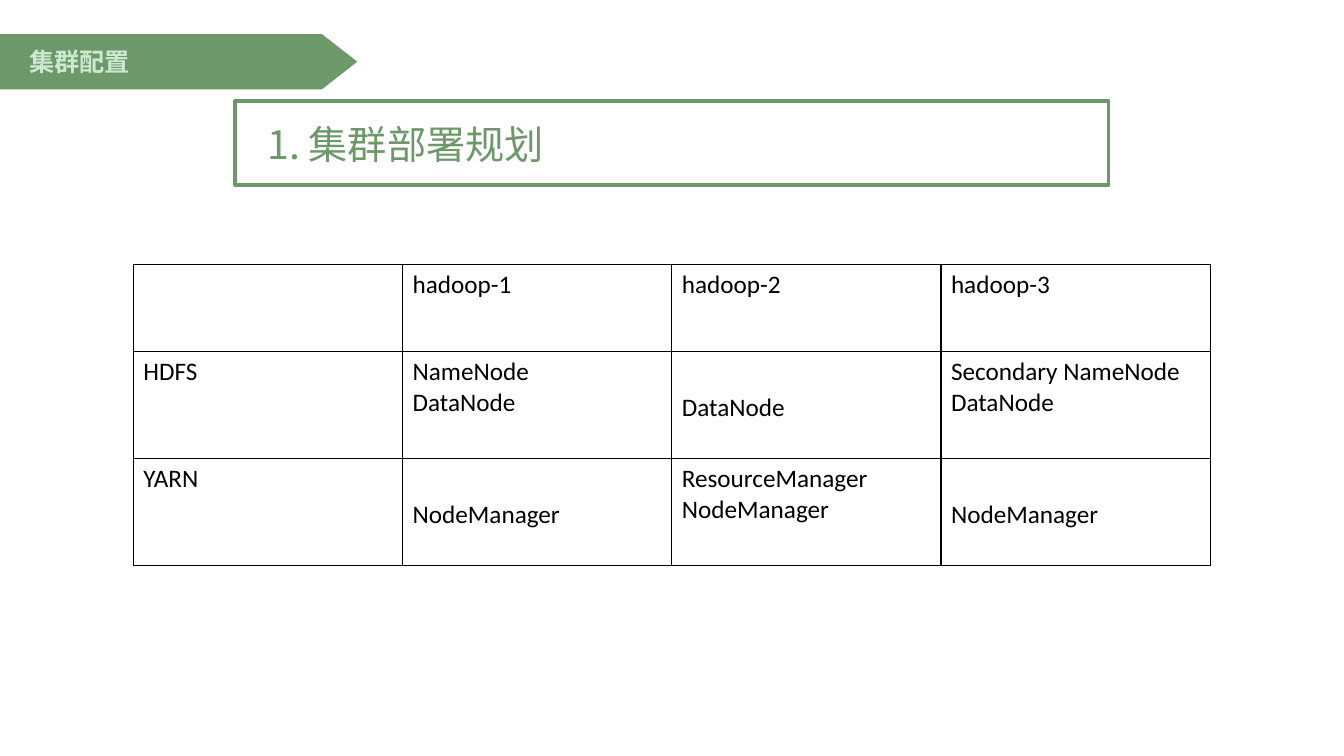
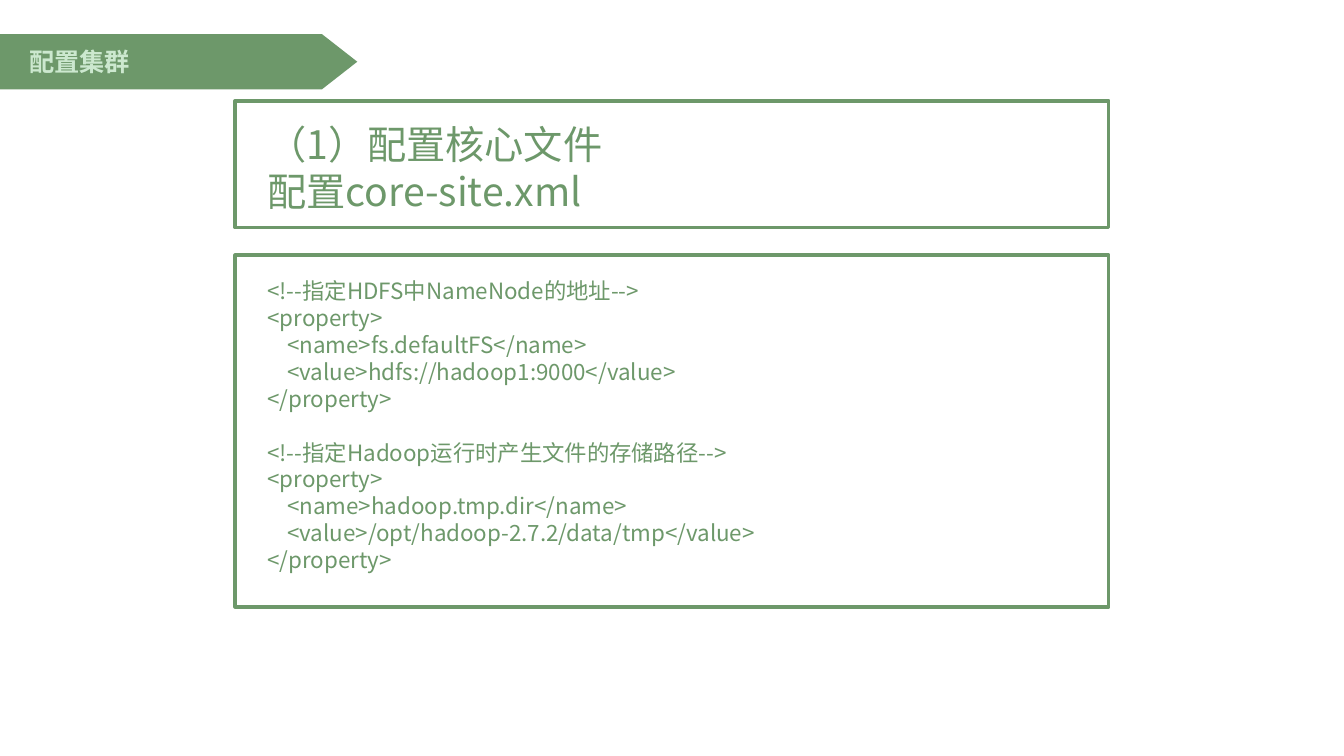
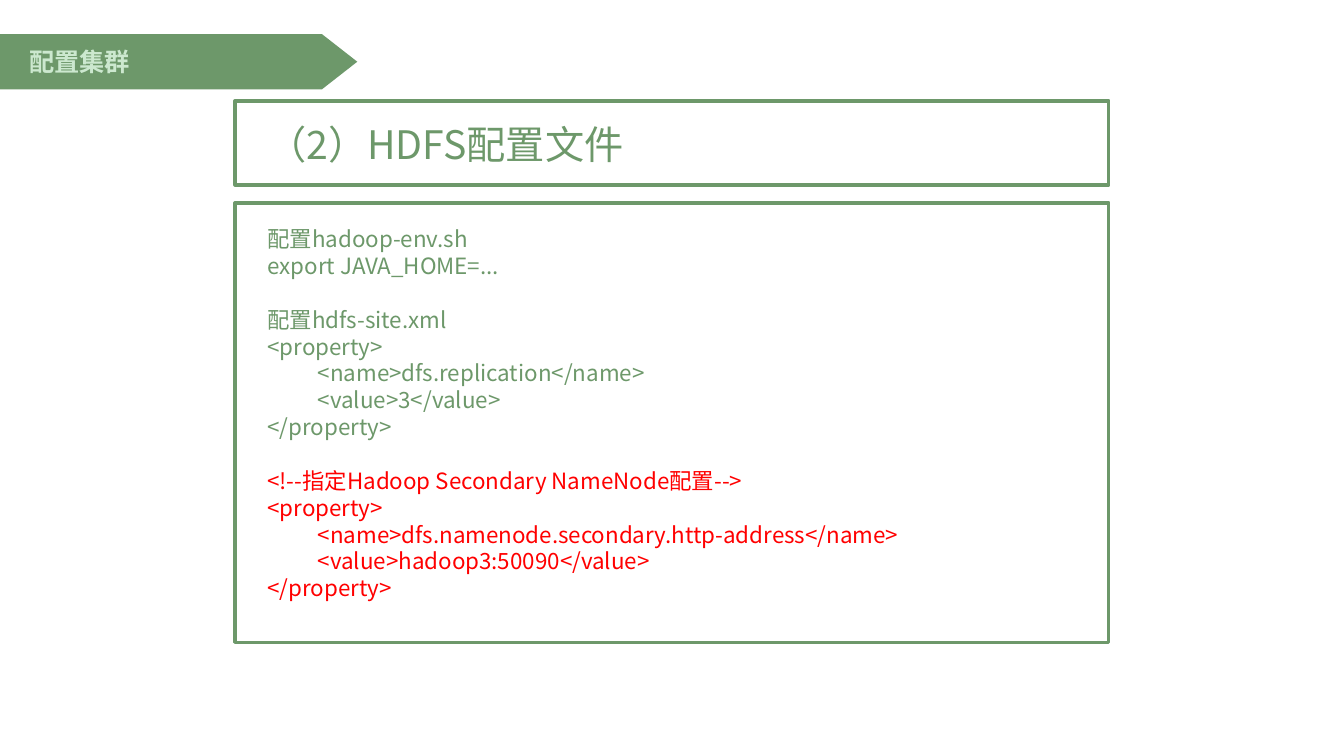
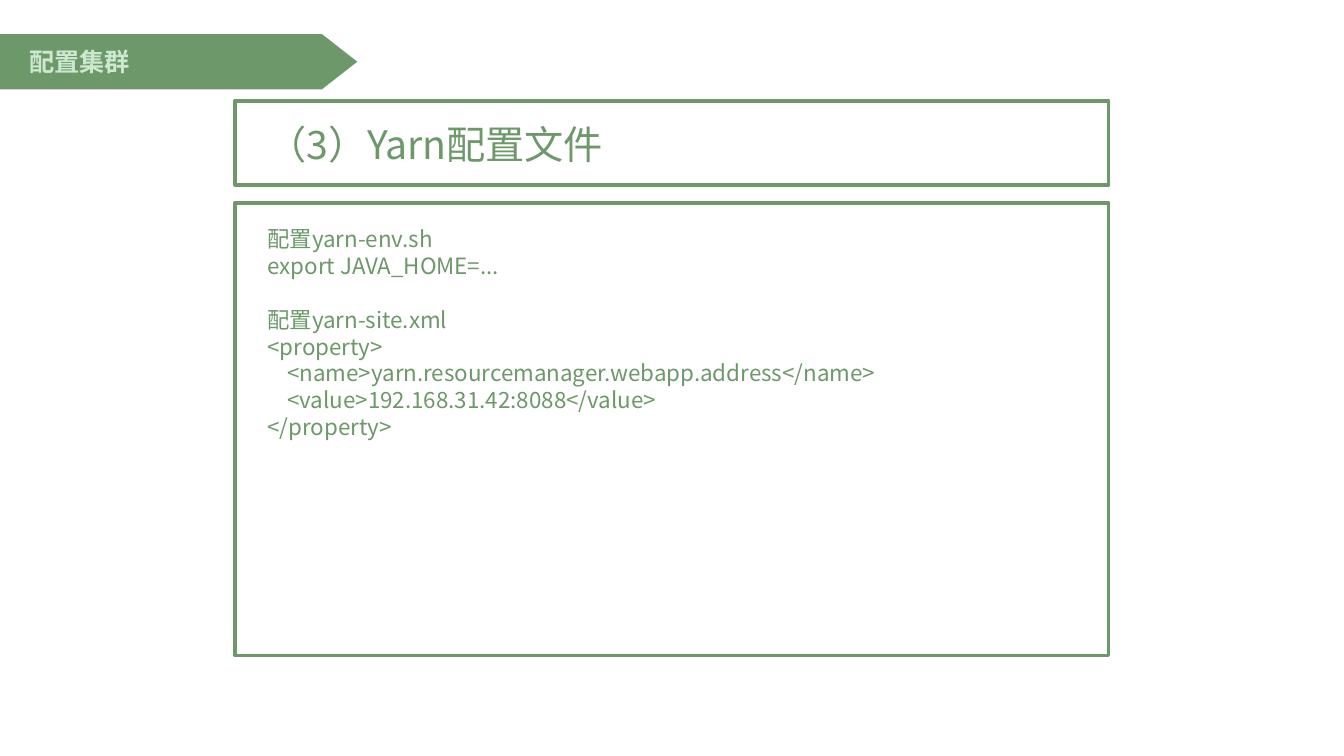
"""Build four slides on planning and configuring a Hadoop cluster."""
from lxml import etree
from pptx import Presentation, util as u
from pptx.dml.color import RGBColor
from pptx.enum import shapes, text
from pptx.oxml.ns import qn

Pt = u.Pt


class Theme:
    """Colours, fonts and type sizes."""
    green, mint, red, black = "6D986A", "CCE8CF", "FF0000", "000000"
    sans, table_font = "Noto Sans CJK SC", "Calibri"
    title, label, code = 28, 18, 16
    leading = 1.2
    frame_line = 2.5


PLAN = [
    [[], ["hadoop-1"], ["hadoop-2"], ["hadoop-3"]],
    [["HDFS"], ["NameNode", "DataNode"], ["DataNode"],
     ["Secondary NameNode", "DataNode"]],
    [["YARN"], ["NodeManager"], ["ResourceManager", "NodeManager"],
     ["NodeManager"]],
]
SLIDES = [
    {"section": "集群配置", "title": ["1. 集群部署规划"], "table": PLAN},
    {"section": "配置集群", "title": ["（1）配置核心文件", "配置core-site.xml"],
     "code_box": (182.2, 251.3),
     "code": [
         (Theme.green, ["<!--指定HDFS中NameNode的地址-->",
                        "<property>",
                        "    <name>fs.defaultFS</name>",
                        "    <value>hdfs://hadoop1:9000</value>",
                        "</property>"]),
         (Theme.green, ["<!--指定Hadoop运行时产生文件的存储路径-->",
                        "<property>",
                        "    <name>hadoop.tmp.dir</name>",
                        "    <value>/opt/hadoop-2.7.2/data/tmp</value>",
                        "</property>"])]},
    {"section": "配置集群", "title": ["（2）HDFS配置文件"],
     "code_box": (144.9, 313.9),
     "code": [
         (Theme.green, ["配置hadoop-env.sh", "export JAVA_HOME=..."]),
         (Theme.green, ["配置hdfs-site.xml",
                        "<property>",
                        "\t<name>dfs.replication</name>",
                        "\t<value>3</value>",
                        "</property>"]),
         (Theme.red, ["<!--指定Hadoop Secondary NameNode配置-->",
                      "<property>",
                      "\t<name>dfs.namenode.secondary.http-address</name>",
                      "\t<value>hadoop3:50090</value>",
                      "</property>"])]},
    {"section": "配置集群", "title": ["（3）Yarn配置文件"],
     "code_box": (144.9, 323.3),
     "code": [
         (Theme.green, ["配置yarn-env.sh", "export JAVA_HOME=..."]),
         (Theme.green, ["配置yarn-site.xml",
                        "<property>",
                        "    <name>yarn.resourcemanager.webapp.address</name>",
                        "    <value>192.168.31.42:8088</value>",
                        "</property>"])]},
]


def apply(target, values):
    for name, value in values.items():
        setattr(target, name, value)


def write(frame, blocks, size, font=Theme.sans, bold=False, leading=None):
    first = True
    for colour, lines in blocks:
        for number, line in enumerate(lines):
            paragraph = frame.paragraphs[0] if first else frame.add_paragraph()
            paragraph.alignment = text.PP_ALIGN.LEFT
            if leading:
                paragraph.line_spacing = Pt(size * leading)
                if number == 0 and not first:
                    paragraph.space_before = Pt(size * leading)
            first = False
            run = paragraph.add_run()
            run.text = line
            apply(run.font, {"size": Pt(size), "bold": bold, "name": font})
            run.font.color.rgb = RGBColor.from_string(colour)
            east_asian = etree.SubElement(run.font._element, qn("a:ea"))
            east_asian.set("typeface", font)


def add_box(slide, kind, box, insets, anchor):
    shape = slide.shapes.add_shape(kind, *map(Pt, box))
    shape.shadow.inherit = False
    left, top = insets
    apply(shape.text_frame, {
        "word_wrap": True, "vertical_anchor": anchor,
        "margin_left": Pt(left), "margin_right": Pt(3.6),
        "margin_top": Pt(top), "margin_bottom": Pt(3.6)})
    return shape


def add_section(slide, section):
    banner = add_box(slide, shapes.MSO_SHAPE.PENTAGON, (0, 24.4, 255.2, 39.4),
                     (20.9, 3.6), text.MSO_ANCHOR.MIDDLE)
    banner.adjustments[0] = 0.64
    banner.fill.solid()
    banner.fill.fore_color.rgb = RGBColor.from_string(Theme.green)
    banner.line.fill.background()
    write(banner.text_frame, [(Theme.mint, [section])], Theme.label, bold=True)


def add_frame(slide, top, height, inset, blocks, size):
    frame = add_box(slide, shapes.MSO_SHAPE.RECTANGLE,
                    (168, top, 624, height), (23, inset), text.MSO_ANCHOR.TOP)
    frame.fill.background()
    frame.line.width = Pt(Theme.frame_line)
    frame.line.color.rgb = RGBColor.from_string(Theme.green)
    write(frame.text_frame, blocks, size, leading=Theme.leading)


def add_borders(cell):
    properties = cell._tc.get_or_add_tcPr()
    for index, side in enumerate(("lnL", "lnR", "lnT", "lnB")):
        border = etree.Element(qn(f"a:{side}"), w=str(Pt(1)))
        fill = etree.SubElement(border, qn("a:solidFill"))
        etree.SubElement(fill, qn("a:srgbClr"), val=Theme.black)
        properties.insert(index, border)


def add_plan(slide, plan):
    heights = [62.2, 76.4, 76.4]
    width = 192.3
    table = slide.shapes.add_table(
        len(plan), len(plan[0]), Pt(95.3), Pt(188.9),
        Pt(width * len(plan[0])), Pt(sum(heights))).table
    apply(table, {"first_row": False, "horz_banding": False})
    for column in table.columns:
        column.width = Pt(width)
    for r, (row, height) in enumerate(zip(plan, heights)):
        table.rows[r].height = Pt(height)
        for c, roles in enumerate(row):
            cell = table.cell(r, c)
            cell.fill.background()
            add_borders(cell)
            lone_role = r and c and len(roles) == 1
            cell.margin_top = Pt(29.4 if lone_role else 3.6)
            write(cell.text_frame, [(Theme.black, roles)], Theme.label,
                  font=Theme.table_font)


def main():
    deck = Presentation()
    apply(deck, {"slide_width": Pt(960), "slide_height": Pt(540)})
    for content in SLIDES:
        slide = deck.slides.add_slide(deck.slide_layouts[6])
        add_section(slide, content["section"])
        title = content["title"]
        add_frame(slide, 72, 60 + 30.6 * (len(title) - 1), 14,
                  [(Theme.green, title)], Theme.title)
        if "table" in content:
            add_plan(slide, content["table"])
        else:
            add_frame(slide, *content["code_box"], 16, content["code"],
                      Theme.code)
    deck.save("out.pptx")


if __name__ == "__main__":
    main()
